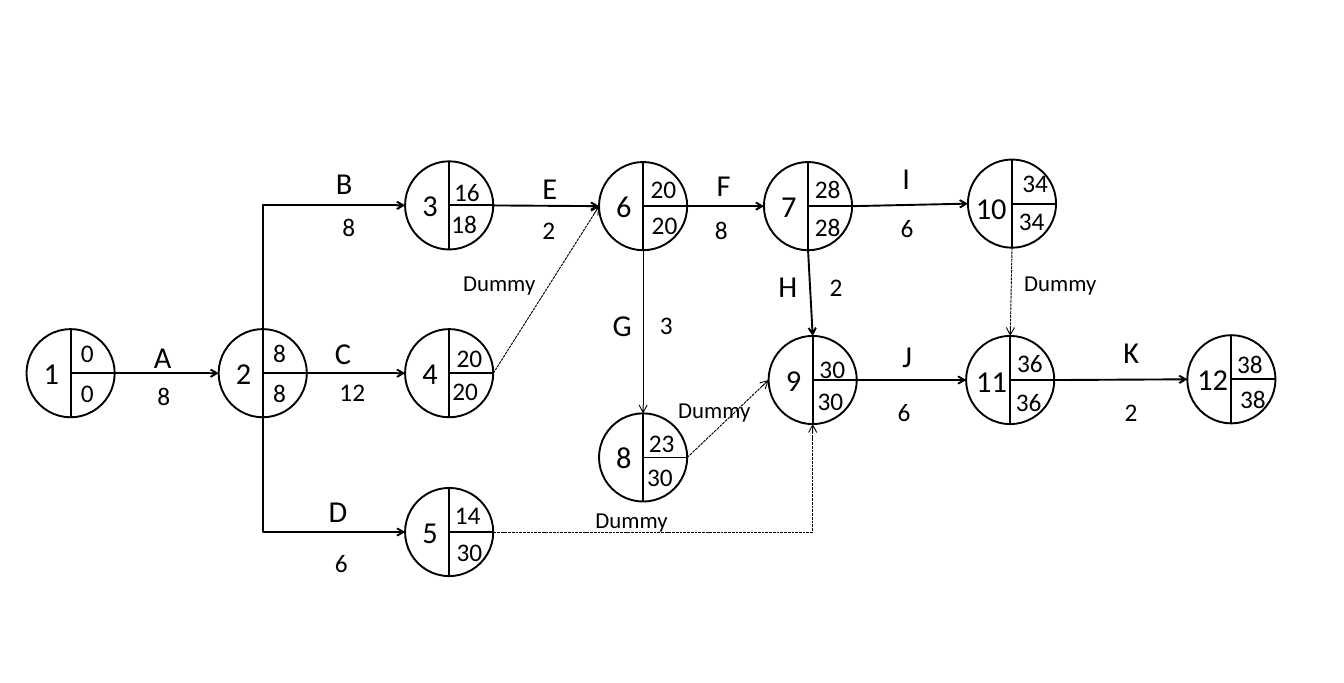
from lxml import etree
from pptx import Presentation
from pptx import util as u
from pptx.dml import color
from pptx.enum import dml, shapes, text
from pptx.oxml import ns

COLORS = {"ink": "000000"}
INK = color.RGBColor.from_string(COLORS["ink"])

# Text formats and box heights (cm)
FORMATS = {
    "name": ({"name": "Calibri", "size": u.Pt(24)}, 1.27),
    "value": ({"name": "Calibri", "size": u.Pt(20)}, 1.12),
    "dummy": ({"name": "Calibri", "size": u.Pt(18)}, 1.02),
}
TEXT_WIDTHS = {1: 0.79, 2: 1.45, 5: 3.68}  # by number of characters

LINES = {
    "solid": {"width": u.Pt(1.5)},
    "thin": {"width": u.Pt(0.75)},
    "dashed": {"width": u.Pt(0.75), "dash_style": dml.MSO_LINE.SQUARE_DOT},
}

DIAMETER = 2.46
RADIUS = DIAMETER / 2
SIDES = {
    "top": (RADIUS, 0),
    "right": (DIAMETER, RADIUS),
    "bottom": (RADIUS, DIAMETER),
    "left": (0, RADIUS),
}

# Event: left, top; earliest time, its offset; latest time, its offset
EVENTS = {
    "1": (0.74, 9.18, "0", (1.27, 0.1), "0", (1.27, 1.22)),
    "2": (6.1, 9.18, "8", (1.27, 0.1), "8", (1.27, 1.22)),
    "3": (11.3, 4.5, "16", (1.12, 0.28), "18", (1.04, 1.19)),
    "4": (11.3, 9.18, "20", (1.19, 0.25), "20", (1.07, 1.17)),
    "5": (11.3, 13.61, "14", (1.14, 0.2), "30", (1.19, 1.22)),
    "6": (16.71, 4.52, "20", (1.19, 0.2), "20", (1.22, 1.19)),
    "7": (21.31, 4.52, "28", (1.17, 0.2), "28", (1.17, 1.24)),
    "8": (16.71, 11.53, "23", (1.14, 0.25), "30", (1.09, 1.22)),
    "9": (21.44, 9.37, "30", (1.17, 0.36), "30", (1.12, 1.24)),
    "10": (27, 4.45, "34", (1.27, 0.1), "34", (1.17, 1.14)),
    "11": (26.95, 9.37, "36", (1.17, 0.2), "36", (1.14, 1.27)),
    "12": (33.12, 9.35, "38", (1.14, 0.23), "38", (1.22, 1.22)),
}
NUMBER_OFFSETS = {"10": (-0.03, 0.71), "11": (0.03, 0.61), "12": (0.03, 0.56)}

# Activity: start, side, end, side, line; name, its place; duration, its place
ACTIVITIES = [
    ("1", "right", "2", "left", "solid", "A", (4.04, 9.3), "8", (4.14, 10.49)),
    ("2", "top", "3", "left", "solid", "B", (9.12, 4.45), "8", (9.3, 5.77)),
    ("2", "right", "4", "left", "solid", "C", (9.09, 9.19), "12", (9.22, 10.36)),
    ("2", "bottom", "5", "left", "solid", "D", (8.92, 13.61), "6", (9.09, 15.14)),
    ("3", "right", "6", "left", "solid", "E", (14.88, 4.6), "2", (14.88, 5.84)),
    ("6", "right", "7", "left", "solid", "F", (19.74, 4.52), "8", (19.69, 5.84)),
    ("6", "bottom", "8", "top", "thin", "G", (16.84, 8.41), "3", (18.16, 8.51)),
    ("7", "bottom", "9", "top", "solid", "H", (21.46, 7.34), "2", (22.89, 7.44)),
    ("7", "right", "10", "left", "solid", "I", (24.92, 4.32), "6", (24.87, 5.79)),
    ("9", "right", "11", "left", "solid", "J", (24.92, 9.27), "6", (24.79, 10.92)),
    ("11", "right", "12", "left", "solid", "K", (31.09, 9.17), "2", (31.12, 10.92)),
]
DUMMIES = [
    ("4", "right", "6", "left", (12.67, 7.37)),
    ("5", "right", "9", "bottom", (16.36, 13.97)),
    ("10", "bottom", "11", "top", (28.32, 7.37)),
    ("8", "right", "9", "left", (18.67, 10.9)),
]


def set_values(target, values):
    for attribute, value in values.items():
        setattr(target, attribute, value)


def add_label(parent, words, place, kind):
    values, height = FORMATS[kind]
    left, top = place
    box = parent.add_textbox(u.Cm(left), u.Cm(top),
                             u.Cm(TEXT_WIDTHS[len(words)]), u.Cm(height))
    set_values(box.text_frame, {
        "word_wrap": True, "auto_size": text.MSO_AUTO_SIZE.SHAPE_TO_FIT_TEXT})
    paragraph = box.text_frame.paragraphs[0]
    paragraph.text = words
    set_values(paragraph.font, values)
    paragraph.font.color.rgb = INK


def add_line(parent, start, end, style, kind=shapes.MSO_CONNECTOR.STRAIGHT, arrow=False):
    connector = parent.add_connector(kind, *(u.Cm(value) for value in (*start, *end)))
    connector.line.color.rgb = INK
    set_values(connector.line, LINES[style])
    if arrow:
        etree.SubElement(connector.line._get_or_add_ln(), ns.qn("a:tailEnd"), type="arrow")
    etree.SubElement(connector._element.spPr, ns.qn("a:effectLst"))
    return connector


def add_bent_arrow(parent, start, end, style, vertical_first):
    """Draw one right-angled bend; a vertical start needs a turned box."""
    rotation = 0
    if vertical_first:
        middle_x, middle_y = ((a + b) / 2 for a, b in zip(start, end))
        half_width = abs(end[1] - start[1]) / 2
        half_height = (end[0] - start[0]) / 2
        rotation = 270
        if end[1] < start[1]:
            half_height, rotation = -half_height, 90
        start = (middle_x + half_width, middle_y - half_height)
        end = (middle_x - half_width, middle_y + half_height)
    connector = add_line(parent, start, end, style, shapes.MSO_CONNECTOR.ELBOW, True)
    properties = connector._element.spPr
    properties.find(ns.qn("a:prstGeom")).set("prst", "bentConnector2")
    if rotation:
        properties.find(ns.qn("a:xfrm")).set("rot", str(rotation * 60000))


def draw_event(slide, number, event):
    """Draw a split circle with its number and times inside its box."""
    left, top, earliest, earliest_offset, latest, latest_offset = event

    def inside(offset):
        return left + offset[0], top + offset[1]

    parts = slide.shapes.add_group_shape().shapes
    circle = parts.add_shape(shapes.MSO_SHAPE.OVAL, u.Cm(left), u.Cm(top),
                             u.Cm(DIAMETER), u.Cm(DIAMETER))
    circle.shadow.inherit = False
    circle.fill.background()
    circle.line.color.rgb = INK
    set_values(circle.line, LINES["solid"])
    add_line(parts, inside(SIDES["top"]), inside(SIDES["bottom"]), "solid")
    add_line(parts, inside(SIDES["right"]), inside((RADIUS, RADIUS)), "solid")
    number_offset = NUMBER_OFFSETS.get(number, (0.23, 0.58))
    add_label(parts, number, inside(number_offset), "name")
    add_label(parts, earliest, inside(earliest_offset), "value")
    add_label(parts, latest, inside(latest_offset), "value")


def draw_arrow(slide, first, first_side, last, last_side, style):
    """Join the sides of two events, with a bend where the sides call for it."""
    start, end = (
        tuple(a + b for a, b in zip(EVENTS[number][:2], SIDES[side]))
        for number, side in ((first, first_side), (last, last_side)))
    vertical_first = first_side in ("top", "bottom")
    vertical_last = last_side in ("top", "bottom")
    if vertical_first != vertical_last:
        add_bent_arrow(slide.shapes, start, end, style, vertical_first)
    else:
        add_line(slide.shapes, start, end, style, arrow=True)


def draw_network(slide):
    # Events
    for number, event in EVENTS.items():
        draw_event(slide, number, event)
    # Activities with names and durations
    for *ends, style, name, name_place, duration, duration_place in ACTIVITIES:
        draw_arrow(slide, *ends, style)
        add_label(slide.shapes, name, name_place, "name")
        add_label(slide.shapes, duration, duration_place, "value")
    # Dummy activities
    for *ends, place in DUMMIES:
        draw_arrow(slide, *ends, "dashed")
        add_label(slide.shapes, "Dummy", place, "dummy")


def main():
    presentation = Presentation()
    set_values(presentation, {"slide_width": u.Cm(37.49), "slide_height": u.Cm(19.05)})
    slide = presentation.slides.add_slide(presentation.slide_layouts[6])
    draw_network(slide)
    presentation.save("out.pptx")


if __name__ == "__main__":
    main()
